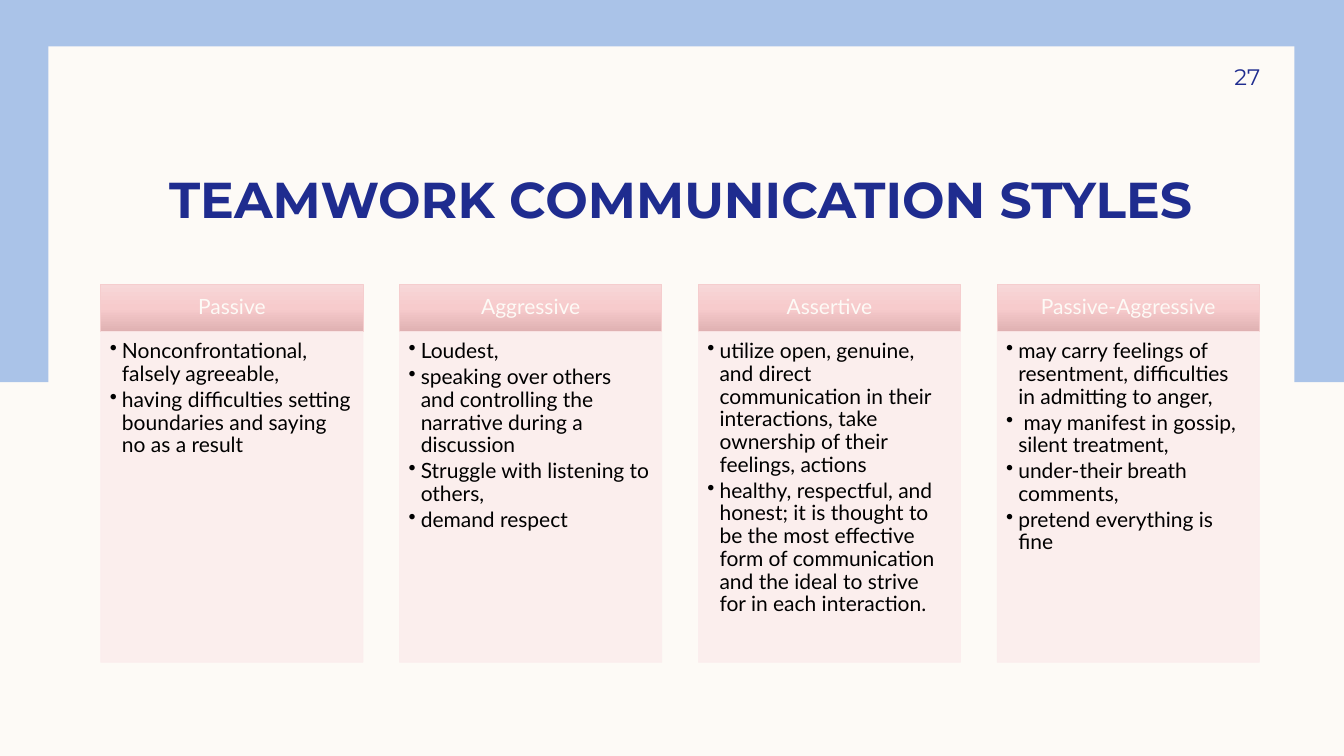
"""Build a slide comparing four teamwork communication styles."""
from lxml.etree import SubElement
from pptx import Presentation
from pptx.dml.color import RGBColor
from pptx.enum.shapes import MSO_SHAPE
from pptx.enum.text import MSO_ANCHOR, MSO_AUTO_SIZE, PP_ALIGN
from pptx.oxml.ns import qn
from pptx.util import Inches, Pt

COLORS = {
    "cream": "FDFAF6",
    "sky": "AAC3E8",
    "navy": "1F2C8F",
    "black": "000000",
    "header_line": "F5CDCE",
    "panel": "FBEDED",
}
HEADER_GRADIENT = ((0, "F7D7D8"), (50, "F7CBCC"), (100, "DFB1B2"))
STYLES = {
    "Passive": [
        "Nonconfrontational, falsely agreeable,",
        "having difficulties setting boundaries and saying no as a result",
    ],
    "Aggressive": [
        "Loudest,",
        "speaking over others and controlling the narrative during a discussion",
        "Struggle with listening to others,",
        "demand respect",
    ],
    "Assertive": [
        "utilize open, genuine, and direct communication in their interactions, "
        "take ownership of their feelings, actions",
        "healthy, respectful, and honest; it is thought to be the most effective form of "
        "communication and the ideal to strive for in each interaction.",
    ],
    "Passive-Aggressive": [
        "may carry feelings of resentment, difficulties in admitting to anger,",
        " may manifest in gossip, silent treatment,",
        "under-their breath comments,",
        "pretend everything is fine",
    ],
}
FIRST_LEFT, LAST_LEFT, CARD_WIDTH = 1, 9.89, 2.6
HEADER_TOP, HEADER_HEIGHT, PANEL_HEIGHT = 2.82, 0.47, 3.28


def rgb(name):
    return RGBColor.from_string(COLORS[name])


def add_box(slide, left, top, width, height, fill, line=None):
    box = slide.shapes.add_shape(
        MSO_SHAPE.RECTANGLE, Inches(left), Inches(top), Inches(width), Inches(height)
    )
    box.shadow.inherit = False
    box.fill.solid()
    box.fill.fore_color.rgb = rgb(fill)
    if line:
        box.line.color.rgb = rgb(line)
        box.line.width = Pt(0.5)
    else:
        box.line.fill.background()
    return box


def set_frame(frame, anchor, left, top, right, bottom):
    frame.word_wrap = True
    frame.auto_size = MSO_AUTO_SIZE.NONE
    frame.vertical_anchor = anchor
    frame.margin_left, frame.margin_top = Inches(left), Inches(top)
    frame.margin_right, frame.margin_bottom = Inches(right), Inches(bottom)


def write(paragraph, text, font, size, color, align, after=0, spacing=1.0, bold=False):
    paragraph.alignment = align
    paragraph.line_spacing = spacing
    paragraph.space_before = Pt(0)
    paragraph.space_after = Pt(after)
    run = paragraph.add_run()
    run.text = text
    run.font.name = font
    run.font.size = Pt(size)
    run.font.bold = bold
    run.font.color.rgb = rgb(color)


def add_bullet(paragraph):
    paragraph.level = 1
    properties = paragraph._p.get_or_add_pPr()
    properties.set("marL", str(Inches(0.12)))
    properties.set("indent", str(-Inches(0.12)))
    SubElement(properties, qn("a:buChar")).set("char", "•")


def apply_gradient(box, stops):
    box.fill.gradient()
    box.fill.gradient_angle = 270
    stop_list = box.element.spPr.find(qn("a:gradFill")).find(qn("a:gsLst"))
    for default_stop in list(stop_list):
        stop_list.remove(default_stop)
    for position, color in stops:
        stop = SubElement(stop_list, qn("a:gs"))
        stop.set("pos", str(position * 1000))
        SubElement(stop, qn("a:srgbClr")).set("val", color)


def apply_opacity(box, percent):
    for color in box.element.spPr.iter(qn("a:srgbClr")):
        SubElement(color, qn("a:alpha")).set("val", str(percent * 1000))


def add_title(slide, text):
    title = slide.shapes.title
    title.element.getparent().append(title.element)
    title.left, title.top = Inches(1), Inches(1.16)
    title.width, title.height = Inches(11.5), Inches(1.11)
    set_frame(title.text_frame, MSO_ANCHOR.BOTTOM, 0.1, 0, 0.1, 0)
    write(title.text_frame.paragraphs[0], text, "Montserrat", 36, "navy",
          PP_ALIGN.CENTER, bold=True)


def add_page_number(slide, number):
    page = slide.shapes.add_textbox(Inches(11.33), Inches(0.5), Inches(1.17), Inches(0.52))
    set_frame(page.text_frame, MSO_ANCHOR.MIDDLE, 0.1, 0.05, 0, 0.05)
    write(page.text_frame.paragraphs[0], number, "Montserrat", 16, "navy",
          PP_ALIGN.RIGHT, after=6)


def add_style_card(slide, left, style, traits):
    header = add_box(slide, left, HEADER_TOP, CARD_WIDTH, HEADER_HEIGHT,
                     "panel", "header_line")
    apply_gradient(header, HEADER_GRADIENT)
    set_frame(header.text_frame, MSO_ANCHOR.MIDDLE, 0.12, 0.07, 0.12, 0.07)
    write(header.text_frame.paragraphs[0], style, "Lato", 15, "cream",
          PP_ALIGN.CENTER, after=5.25, spacing=0.9)

    panel = add_box(slide, left, HEADER_TOP + HEADER_HEIGHT, CARD_WIDTH, PANEL_HEIGHT,
                    "panel", "panel")
    apply_opacity(panel, 90)
    frame = panel.text_frame
    set_frame(frame, MSO_ANCHOR.TOP, 0.09, 0.09, 0.12, 0.13)
    for index, trait in enumerate(traits):
        paragraph = frame.add_paragraph() if index else frame.paragraphs[0]
        write(paragraph, trait, "Lato", 15, "black", PP_ALIGN.LEFT, after=2.25, spacing=0.9)
        add_bullet(paragraph)


def main():
    deck = Presentation()
    deck.slide_width, deck.slide_height = Inches(13.33), Inches(7.5)
    slide = deck.slides.add_slide(deck.slide_layouts[5])
    slide.background.fill.solid()
    slide.background.fill.fore_color.rgb = rgb("cream")

    add_box(slide, -0.03, 0, 13.36, 3.79, "sky")
    add_box(slide, 0.48, 0.46, 12.36, 6.59, "cream")
    add_title(slide, "TEAMWORK COMMUNICATION STYLES")
    add_page_number(slide, "27")

    pitch = (LAST_LEFT - FIRST_LEFT) / (len(STYLES) - 1)
    for column, (style, traits) in enumerate(STYLES.items()):
        add_style_card(slide, FIRST_LEFT + column * pitch, style, traits)
    deck.save("out.pptx")


if __name__ == "__main__":
    main()
